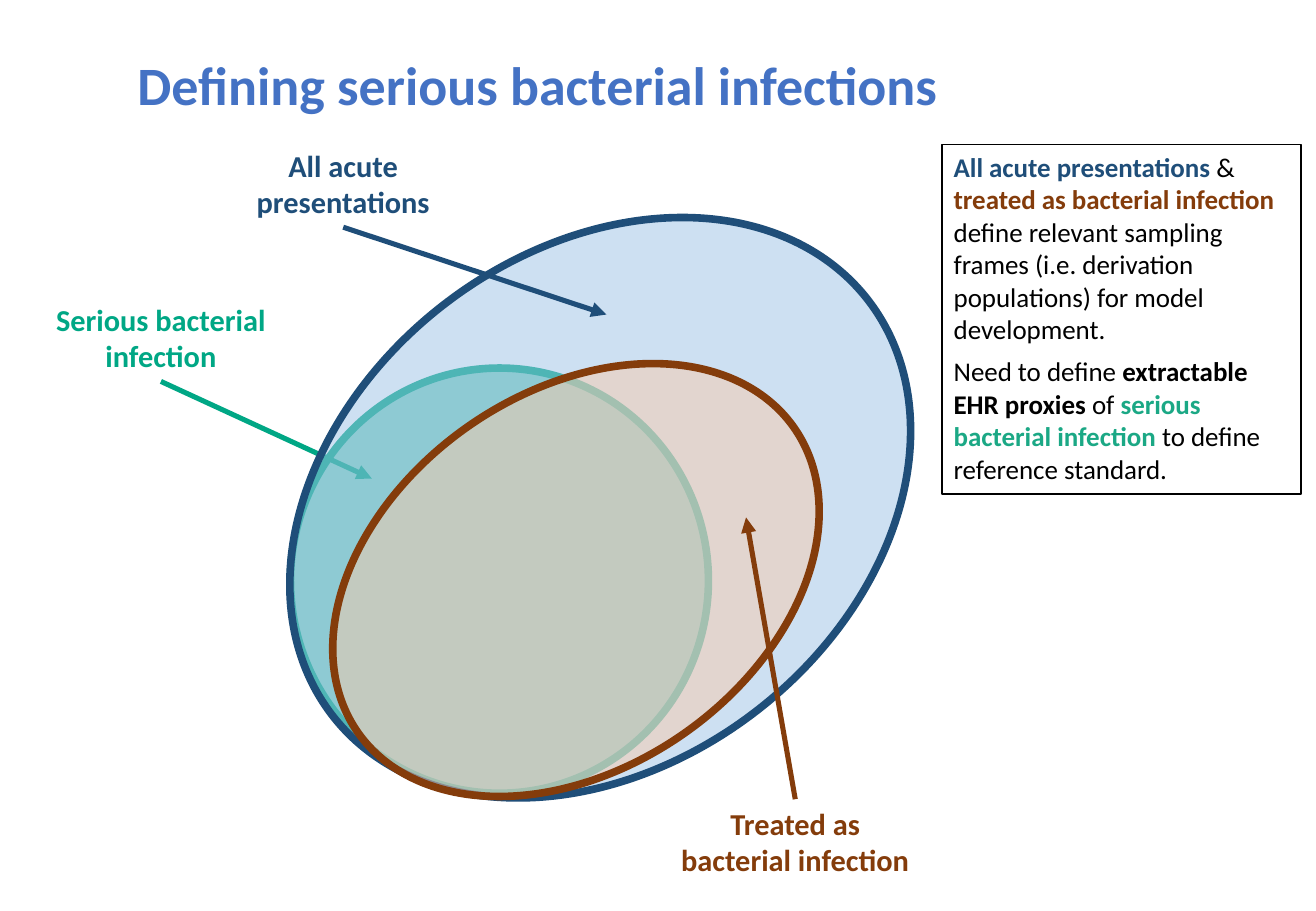
from dataclasses import dataclass

from lxml import etree
from pptx import Presentation, util as u
from pptx.dml.color import RGBColor
from pptx.enum import shapes, text
from pptx.oxml import ns

WIDTH, HEIGHT = u.Inches(10.83), u.Inches(7.5)


@dataclass(frozen=True)
class Theme:
    font: str = "Calibri"
    title_size: int = 32
    label_size: int = 18
    note_size: int = 16
    title: str = "4472C4"
    ink: str = "000000"
    paper: str = "FFFFFF"
    acute: str = "1F4E79"
    acute_fill: str = "9DC3E6"
    serious: str = "00A785"
    serious_note: str = "1BA885"
    treated: str = "843C0B"
    treated_fill: str = "F8CBAD"


THEME = Theme()


# Positions are percentages of the slide's width and height
def across(share):
    return round(WIDTH * share / 100)


def down(share):
    return round(HEIGHT * share / 100)


def place(left, top, width, height):
    return across(left), down(top), across(width), down(height)


def rgb(color):
    return RGBColor.from_string(color)


def write(frame, paragraphs, *, size, color=THEME.ink, bold=False,
          align=text.PP_ALIGN.LEFT, anchor=text.MSO_ANCHOR.TOP,
          spacing=None, after=()):
    """Fill a frame; each run is a (words, color, bold) tuple or plain words."""
    frame.word_wrap = True
    frame.vertical_anchor = anchor
    for index, runs in enumerate(paragraphs):
        paragraph = frame.add_paragraph() if index else frame.paragraphs[0]
        paragraph.alignment = align
        paragraph.line_spacing = spacing
        if index < len(after):
            paragraph.space_after = u.Pt(after[index])
        for part in runs:
            words, tint, strong = (part, color, bold) if isinstance(part, str) else part
            run = paragraph.add_run()
            run.text = words
            run.font.name = THEME.font
            run.font.size = u.Pt(size)
            run.font.bold = strong
            run.font.color.rgb = rgb(tint)


def add_outlined(parent, kind, box, fill, line, weight):
    outlined = parent.add_shape(kind, *place(*box))
    outlined.shadow.inherit = False
    outlined.fill.solid()
    outlined.fill.fore_color.rgb = rgb(fill)
    outlined.line.color.rgb = rgb(line)
    outlined.line.width = u.Pt(weight)
    return outlined


def add_population(parent, box, rotation, fill, line):
    population = add_outlined(parent, shapes.MSO_SHAPE.OVAL, box, fill, line, 4.5)
    population.rotation = rotation
    tint = population.fill._xPr.find(".//" + ns.qn("a:srgbClr"))
    etree.SubElement(tint, ns.qn("a:alpha"), val="50000")


def add_arrow(parent, start, tip, color):
    arrow = parent.add_connector(
        shapes.MSO_CONNECTOR.STRAIGHT,
        across(start[0]), down(start[1]), across(tip[0]), down(tip[1]))
    arrow.line.color.rgb = rgb(color)
    arrow.line.width = u.Pt(3)
    etree.SubElement(arrow.line._get_or_add_ln(), ns.qn("a:tailEnd"), type="triangle")
    etree.SubElement(arrow._element.spPr, ns.qn("a:effectLst"))


def add_label(parent, words, corner, tip, color):
    """Add a label with an arrow from its nearer edge to the tip."""
    width, height = 20.22, 9.47
    left, top = corner
    edge = top + height if tip[1] > top else top
    add_arrow(parent, (left + width / 2, edge), tip, color)
    label = parent.add_textbox(*place(left, top, width, height))
    write(label.text_frame, [[words]], size=THEME.label_size, color=color,
          bold=True, align=text.PP_ALIGN.CENTER)


def add_title(slide, words, box):
    title = slide.shapes.title
    title.left, title.top, title.width, title.height = place(*box)
    write(title.text_frame, [[words]], size=THEME.title_size, color=THEME.title,
          bold=True, anchor=text.MSO_ANCHOR.MIDDLE, spacing=0.9)


def add_note(slide, paragraphs, box):
    note = add_outlined(slide.shapes, shapes.MSO_SHAPE.RECTANGLE, box,
                        THEME.paper, THEME.ink, 1)
    write(note.text_frame, paragraphs, size=THEME.note_size, after=(0, 6, 6))


def main():
    deck = Presentation()
    deck.slide_width, deck.slide_height = WIDTH, HEIGHT
    slide = deck.slides.add_slide(deck.slide_layouts[5])

    # Overlapping populations, back to front:
    # grouped, label, label corner, arrow tip, ellipse, rotation, fill, line
    populations = [
        (False, "Serious bacterial infection", (2.12, 32.4), (28.25, 52.53),
         (22.07, 40.4, 31.76, 46.67), 0, THEME.serious, THEME.serious),
        (True, "All acute presentations", (15.97, 15.47), (46.08, 34.53),
         (19.85, 27.6, 51.52, 56.27), 322.1, THEME.acute_fill, THEME.acute),
        (True, "Treated as bacterial infection", (50.32, 87.73), (56.69, 56.8),
         (23.55, 43.07, 40.44, 41.2), 325.1, THEME.treated_fill, THEME.treated),
    ]
    for grouped, words, corner, tip, ellipse, rotation, fill, line in populations:
        parent = slide.shapes.add_group_shape().shapes if grouped else slide.shapes
        add_population(parent, ellipse, rotation, fill, line)
        add_label(parent, words, corner, tip, line)

    # Heading
    add_title(slide, "Defining serious bacterial infections",
              (9.51, 5.33, 80.89, 8.67))

    # Explanatory note
    add_note(slide, [
        [("All acute presentations", THEME.acute, True), " &"],
        [("treated as bacterial infection ", THEME.treated, True),
         "define relevant sampling frames (i.e. derivation populations) "
         "for model development."],
        ["Need to define ", ("extractable EHR proxies ", THEME.ink, True), "of ",
         ("serious bacterial infection ", THEME.serious_note, True),
         "to define reference standard."],
    ], (71.56, 15.87, 27.33, 38.4))

    deck.save("out.pptx")


if __name__ == "__main__":
    main()
